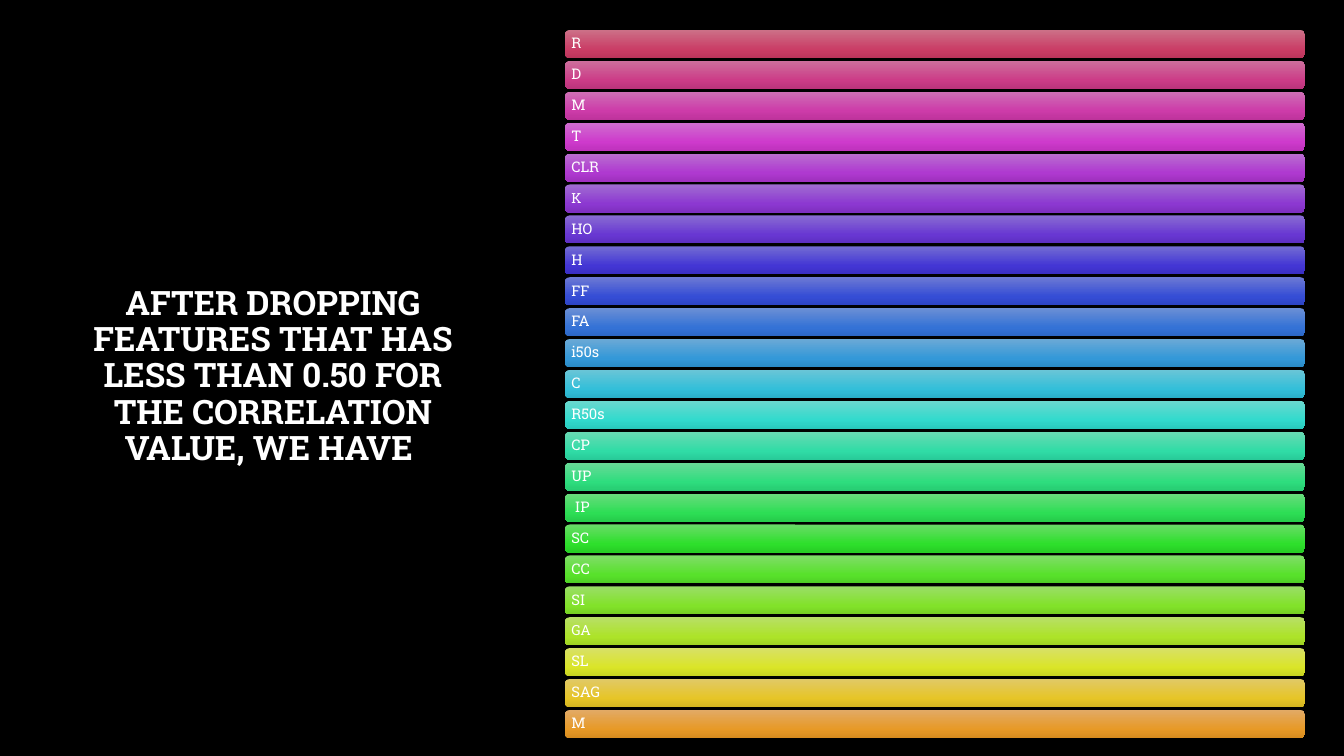
from copy import deepcopy

from pptx import Presentation
from pptx.dml.color import RGBColor
from pptx.enum.shapes import MSO_SHAPE as Shape
from pptx.enum.text import MSO_ANCHOR as Anchor, MSO_AUTO_SIZE as AutoSize, PP_ALIGN as Align
from pptx.oxml import parse_xml
from pptx.oxml.ns import nsdecls, qn
from pptx.util import Emu, Pt

EMU_PER_PX = 914400 / 100.8
FONT = "Roboto Slab"
BLACK = RGBColor(0, 0, 0)
WHITE = RGBColor(255, 255, 255)
GRADIENT_POSITIONS = (0, 0.69, 1)
SHADOW = (
    f'<a:effectLst {nsdecls("a")}><a:outerShdw blurRad="50800" dist="38100" dir="5400000" rotWithShape="0">'
    '<a:srgbClr val="000000"><a:alpha val="54000"/></a:srgbClr></a:outerShdw></a:effectLst>'
)
HEADLINE = "AFTER DROPPING FEATURES THAT HAS LESS THAN 0.50 FOR THE CORRELATION VALUE, WE HAVE "
FEATURES = [
    ("R", "CC7087", "CA3D66", "BA355B"),
    ("D", "CD6F9D", "CC3C87", "BB347B"),
    ("M", "CE6FB5", "CD3BA9", "BD339B"),
    ("T", "CF6ECE", "CE3ACC", "BE32BC"),
    ("CLR", "B96ED0", "AF39D0", "A031BF"),
    ("K", "A16DD1", "8C38D1", "7F30C0"),
    ("HO", "896DD2", "6837D2", "5D2FC2"),
    ("H", "736CD3", "4336D4", "3A2EC3"),
    ("FF", "6C79D4", "354DD5", "2D44C4"),
    ("FA", "6B8FD5", "3472D6", "2C67C6"),
    ("i50s", "6BA9D6", "3398D8", "2B8BC7"),
    ("C", "6AC5D7", "32BFD9", "2AB0C8"),
    ("R50s", "6AD8CE", "31DACD", "29C9BC"),
    ("CP", "69D9B3", "30DCA6", "28CA98"),
    ("UP", "69DA97", "2EDD7E", "27CC72"),
    (" IP", "69DB7D", "2DDE55", "26CD4B"),
    ("SC", "69DC68", "2EDF2C", "27CE25"),
    ("CC", "7FDD68", "58E12B", "4ECF24"),
    ("SI", "9ADE67", "82E22A", "76D123"),
    ("GA", "B8DF67", "ADE329", "9FD222"),
    ("SL", "D8E066", "DAE528", "C9D321"),
    ("SAG", "E1C966", "E6C527", "D4B520"),
    ("M", "E2AA66", "E79926", "D68B1F"),
]
SMALLER_LABELS = ("K", "GA")


def px(length):
    """Turn a length in pixels into EMU."""
    return Emu(round(length * EMU_PER_PX))


def write(frame, text, *, size, bold=False, align=Align.LEFT, inset=(10, 5), space_after=0):
    """Fill a text frame with one formatted, vertically centred paragraph."""
    frame.word_wrap = True
    frame.auto_size = AutoSize.NONE
    frame.vertical_anchor = Anchor.MIDDLE
    frame.margin_left = frame.margin_right = px(inset[0])
    frame.margin_top = frame.margin_bottom = px(inset[1])
    paragraph = frame.paragraphs[0]
    paragraph.alignment = align
    paragraph.line_spacing = 0.9
    paragraph.space_before = Pt(0)
    paragraph.space_after = Pt(space_after)
    run = paragraph.add_run()
    run.text = text
    run.font.name = FONT
    run.font.size = Pt(size)
    run.font.bold = bold
    run.font.color.rgb = WHITE


def paint_gradient(bar, shades):
    """Fill a bar from top to bottom with three shades."""
    bar.fill.gradient()
    bar.fill.gradient_angle = 270
    stop_list = bar.fill._xPr.find(qn("a:gradFill")).find(qn("a:gsLst"))
    stop_list.append(deepcopy(stop_list[-1]))
    for stop, position, shade in zip(bar.fill.gradient_stops, GRADIENT_POSITIONS, shades):
        stop.position = position
        stop.color.rgb = RGBColor.from_string(shade)


def add_headline(slide, left, top, width, height):
    """Place the statement in the title placeholder."""
    headline = slide.shapes.title
    headline.left, headline.top, headline.width, headline.height = map(px, (left, top, width, height))
    write(headline.text_frame, HEADLINE, size=24, bold=True, align=Align.CENTER, space_after=6)


def add_feature_bars(slide, left, top, width, height, bar_height=28):
    """Stack one labelled bar per feature evenly over the box."""
    pitch = (height - bar_height) / (len(FEATURES) - 1)
    for row, (feature, *shades) in enumerate(FEATURES):
        bar = slide.shapes.add_shape(
            Shape.ROUNDED_RECTANGLE, px(left), px(top + row * pitch), px(width), px(bar_height)
        )
        paint_gradient(bar, shades)
        bar.line.fill.background()
        bar._element.spPr.append(parse_xml(SHADOW))
        write(bar.text_frame, feature, size=10 if feature in SMALLER_LABELS else 10.5, inset=(5, 4))


def main():
    """Build the slide and save it."""
    deck = Presentation()
    deck.slide_width, deck.slide_height = px(1344), px(756)
    slide = deck.slides.add_slide(deck.slide_layouts[5])
    slide.background.fill.solid()
    slide.background.fill.fore_color.rgb = BLACK
    add_headline(slide, 83, 68, 380, 618)
    add_feature_bars(slide, 565, 30, 740, 708)
    deck.save("out.pptx")


if __name__ == "__main__":
    main()
